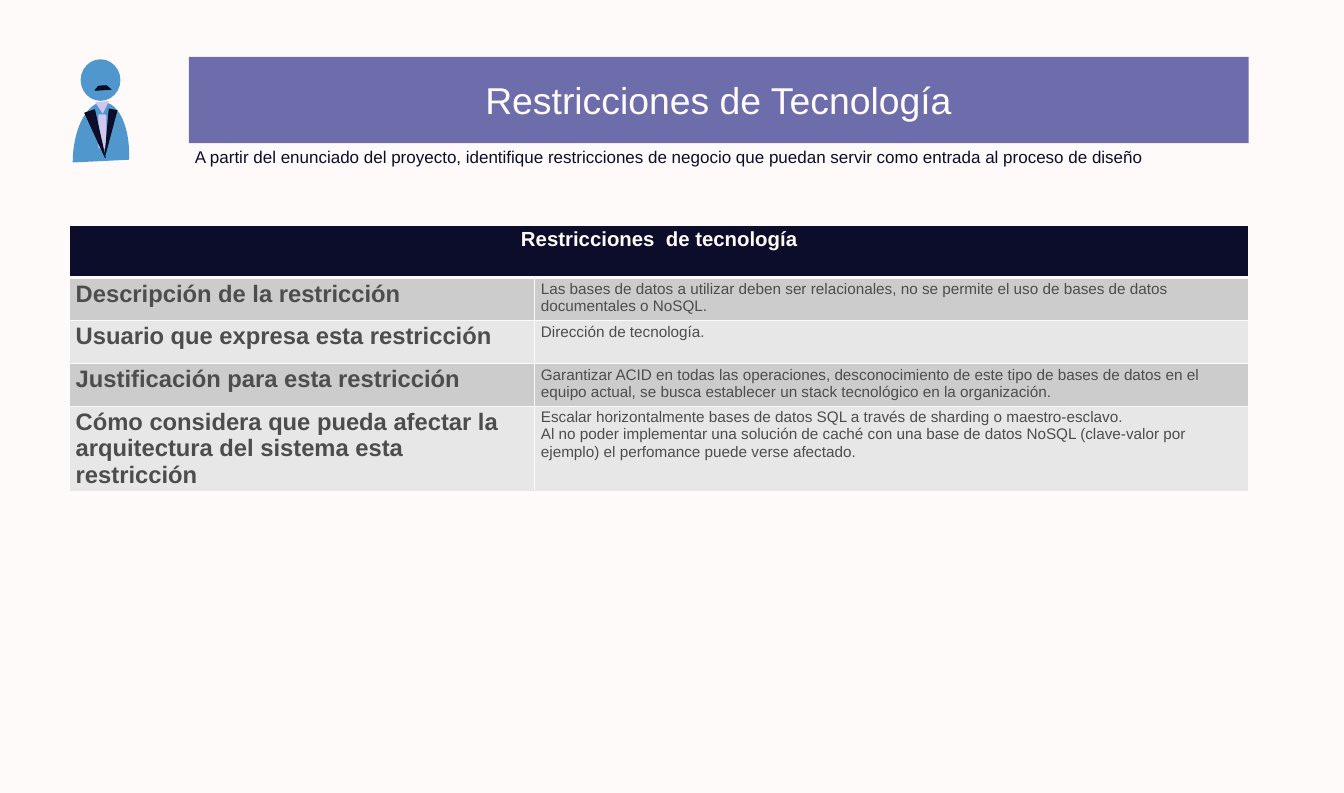
from dataclasses import dataclass

from lxml import etree
from pptx import Presentation
from pptx.dml.color import RGBColor
from pptx.enum.shapes import MSO_SHAPE
from pptx.enum.text import MSO_ANCHOR, MSO_AUTO_SIZE, PP_ALIGN
from pptx.oxml import parse_xml
from pptx.oxml.ns import nsdecls, qn
from pptx.util import Inches, Pt

CENTER, LEFT = PP_ALIGN.CENTER, PP_ALIGN.LEFT
MIDDLE = MSO_ANCHOR.MIDDLE
NO_FIT = MSO_AUTO_SIZE.NONE
ELLIPSE, CHORD = MSO_SHAPE.OVAL, MSO_SHAPE.CHORD
TRIANGLE, STRIPE = MSO_SHAPE.ISOSCELES_TRIANGLE, MSO_SHAPE.DIAGONAL_STRIPE
SNIPPED = MSO_SHAPE.SNIP_2_DIAG_RECTANGLE

FONT = "Arial"
COLORS = {
    "paper": "FEFAFA", "navy": "0C0D2B", "edge": "090A20", "banner": "252884",
    "skin": "5097CD", "shirt": "D0C7EF", "text": "4C4D4C",
    "dark_band": "CCCCCD", "light_band": "E7E7E8",
}
WIDTH, HEIGHT = Inches(21.99), Inches(12.97)


@dataclass
class Box:
    """Left, top, width and height as percentages of the slide."""
    x: float
    y: float
    w: float
    h: float

    def emu(self) -> tuple:
        return across(self.x), down(self.y), across(self.w), down(self.h)


@dataclass
class IconPart:
    kind: int
    box: Box
    fill: str
    rotation: float = 0
    edged: bool = False
    adjustments: tuple = ()


@dataclass
class Row:
    label: str
    answer: str
    height: float


BANNER = Box(14.05, 7.17, 78.85, 10.87)
INTRO = Box(14.05, 18.04, 78.58, 3.39)
TABLE = Box(5.18, 28.37, 87.72, 33.63)
LABEL_WIDTH, HEADER_HEIGHT = 34.61, 6.63

ICON = [
    IconPart(ELLIPSE, Box(6, 7.48, 2.96, 5.24), "skin"),
    IconPart(CHORD, Box(3.32, 16.42, 8.37, 7.09), "skin", 92.9, adjustments=(47.22, 162)),
    IconPart(TRIANGLE, Box(7.09, 12.8, 1.05, 1.54), "shirt", 176.4),
    IconPart(SNIPPED, Box(7.32, 14.42, 0.59, 4.32), "shirt"),
    IconPart(TRIANGLE, Box(6.87, 13.88, 0.77, 6.17), "navy", 161.4, True),
    IconPart(TRIANGLE, Box(7.82, 13.8, 0.59, 5.78), "navy", 190, True),
    IconPart(STRIPE, Box(7.23, 10.64, 0.86, 1.39), "navy", 40.4, True),
]

ROWS = [
    Row("Descripción de la restricción",
        "Las bases de datos a utilizar deben ser relacionales, no se permite el uso de "
        "bases de datos documentales o NoSQL.", 5.4),
    Row("Usuario que expresa esta restricción", "Dirección de tecnología.", 5.4),
    Row("Justificación para esta restricción",
        "Garantizar ACID en todas las operaciones, desconocimiento de este tipo de bases "
        "de datos en el equipo actual, se busca establecer un stack tecnológico en la "
        "organización.", 5.4),
    Row("Cómo considera que pueda afectar la arquitectura del sistema esta restricción",
        "Escalar horizontalmente bases de datos SQL a través de sharding o maestro-esclavo.\n"
        "Al no poder implementar una solución de caché con una base de datos NoSQL "
        "(clave-valor por ejemplo) el perfomance puede verse afectado.", 10.8),
]


def across(share: float) -> int:
    return int(WIDTH * share / 100)


def down(share: float) -> int:
    return int(HEIGHT * share / 100)


def rgb(name: str) -> RGBColor:
    return RGBColor.from_string(COLORS[name])


def paint(fill, color: str) -> None:
    fill.solid()
    fill.fore_color.rgb = rgb(color)


def write(tf, text: str, size: float, color: str, bold: bool = False, align=LEFT) -> None:
    tf.text = text
    tf.word_wrap = True
    for p in tf.paragraphs:
        p.alignment = align
        for r in p.runs:
            r.font.name, r.font.size, r.font.bold = FONT, Pt(size), bold
            r.font.color.rgb = rgb(color)


def add_icon_part(group, part: IconPart) -> None:
    sp = group.shapes.add_shape(part.kind, *part.box.emu())
    sp.shadow.inherit = False
    sp.rotation = part.rotation
    for i, value in enumerate(part.adjustments):
        sp.adjustments[i] = value
    paint(sp.fill, part.fill)
    if part.edged:
        sp.line.color.rgb = rgb("edge")
        sp.line.width = Pt(1)
    else:
        sp.line.fill.background()


def add_borders(cell, bottom: float = 1) -> None:
    tc_pr = cell._tc.get_or_add_tcPr()
    widths = {"lnL": 1, "lnR": 1, "lnT": 1, "lnB": bottom}
    for i, (side, width) in enumerate(widths.items()):
        tc_pr.insert(i, parse_xml(
            f'<a:{side} {nsdecls("a")} w="{Pt(width)}"><a:solidFill>'
            f'<a:srgbClr val="{COLORS["paper"]}"/></a:solidFill></a:{side}>'))


def format_banner(title) -> None:
    title.left, title.top, title.width, title.height = BANNER.emu()
    title.element.spPr.append(parse_xml(
        f'<a:prstGeom {nsdecls("a")} prst="homePlate"><a:avLst/></a:prstGeom>'))
    paint(title.fill, "banner")
    shade = next(title.element.spPr.iter(qn("a:srgbClr")))
    etree.SubElement(shade, qn("a:alpha"), val="67000")
    tf = title.text_frame
    write(tf, "Restricciones de Tecnología", 44, "paper", align=CENTER)
    tf.vertical_anchor = MIDDLE
    tf.auto_size = NO_FIT


def add_restrictions(s) -> None:
    table = s.shapes.add_table(len(ROWS) + 1, 2, *TABLE.emu()).table
    table.first_row = table.horz_banding = False
    table.columns[0].width = across(LABEL_WIDTH)
    table.columns[1].width = across(TABLE.w - LABEL_WIDTH)

    # Header across both columns
    table.rows[0].height = down(HEADER_HEIGHT)
    header = table.cell(0, 0)
    header.merge(table.cell(0, 1))
    write(header.text_frame, "Restricciones  de tecnología", 24, "paper", True, CENTER)
    for cell in table.rows[0].cells:
        paint(cell.fill, "navy")
        add_borders(cell, bottom=3)

    # Banded rows
    for i, row in enumerate(ROWS, start=1):
        table.rows[i].height = down(row.height)
        label, answer = table.rows[i].cells
        write(label.text_frame, row.label, 28, "text", True)
        write(answer.text_frame, row.answer, 18, "text")
        for cell in (label, answer):
            paint(cell.fill, "dark_band" if i % 2 else "light_band")
            add_borders(cell)


def main() -> None:
    prs = Presentation()
    prs.slide_width, prs.slide_height = WIDTH, HEIGHT
    s = prs.slides.add_slide(prs.slide_layouts[5])
    paint(s.background.fill, "paper")

    # Person icon
    group = s.shapes.add_group_shape()
    for part in ICON:
        add_icon_part(group, part)

    # Table, title banner and introduction
    add_restrictions(s)
    format_banner(s.shapes.title)
    intro = s.shapes.add_textbox(*INTRO.emu())
    write(intro.text_frame,
          "A partir del enunciado del proyecto, identifique restricciones de negocio que "
          "puedan servir como entrada al proceso de diseño", 20, "navy")

    prs.save("out.pptx")


if __name__ == "__main__":
    main()
